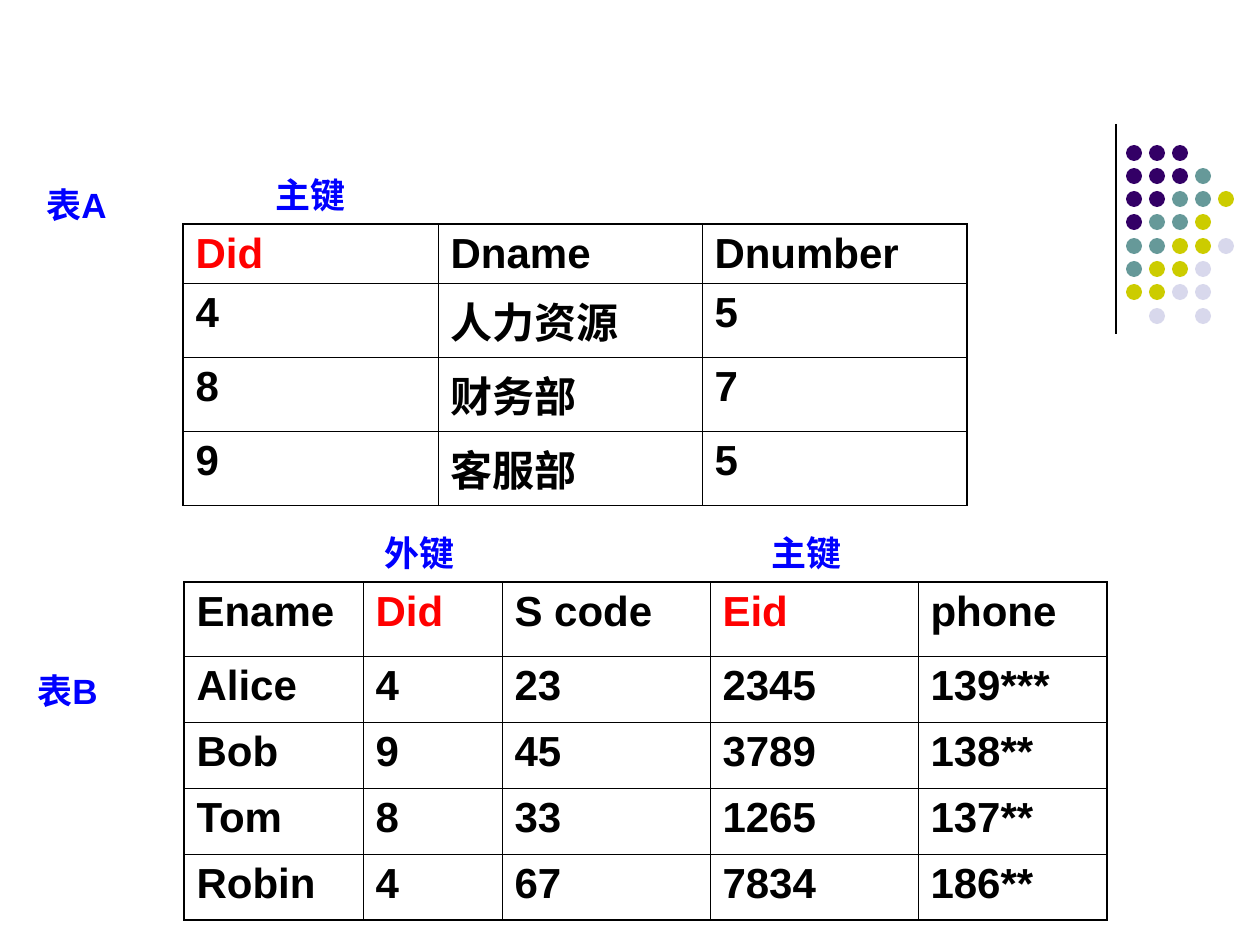
"""Build a slide that shows primary and foreign keys in two linked tables."""
from lxml import etree
from pptx import Presentation
from pptx.dml.color import RGBColor
from pptx.enum.shapes import MSO_CONNECTOR, MSO_SHAPE
from pptx.oxml.ns import qn
from pptx.util import Emu, Pt

STRAIGHT = MSO_CONNECTOR.STRAIGHT
OVAL = MSO_SHAPE.OVAL

BLACK = RGBColor(0x00, 0x00, 0x00)
RED = RGBColor(0xFF, 0x00, 0x00)
BLUE = RGBColor(0x00, 0x00, 0xFF)
PURPLE = RGBColor(0x33, 0x00, 0x66)
TEAL = RGBColor(0x66, 0x99, 0x99)
OLIVE = RGBColor(0xCC, 0xCC, 0x00)
LAVENDER = RGBColor(0xD8, 0xD8, 0xEC)

FONT = "Arial"
OUTER_BORDER = Pt(1.08)
INNER_BORDER = Pt(0.45)

DOT_COLORS = {"P": PURPLE, "T": TEAL, "O": OLIVE, "L": LAVENDER}
DOT_ROWS = ["PPP", "PPPT", "PPTTO", "PTTO", "TTOOL", "TOOL", "OOLL", ".L.L"]
DOT_SIZE = 16

DEPARTMENTS = [
    ["Did", "Dname", "Dnumber"],
    ["4", "人力资源", "5"],
    ["8", "财务部", "7"],
    ["9", "客服部", "5"],
]
EMPLOYEES = [
    ["Ename", "Did", "S code", "Eid", "phone"],
    ["Alice", "4", "23", "2345", "139***"],
    ["Bob", "9", "45", "3789", "138**"],
    ["Tom", "8", "33", "1265", "137**"],
    ["Robin", "4", "67", "7834", "186**"],
]
KEY_COLUMNS = {"Did", "Eid"}

LABELS = [
    ("表A", 34, 165, 100, 89),
    ("表B", 25, 651, 110, 66),
    ("主键", 263, 155, 100, 89),
    ("外键", 372, 513, 100, 89),
    ("主键", 759, 513, 100, 89),
]


def px(length):
    """Turn pixels at 126 to the inch into EMU."""
    return Emu(round(length * 914400 / 126))


def add_run(paragraph, text, size, color):
    """Add one bold run."""
    run = paragraph.add_run()
    run.text = text
    run.font.name = FONT
    run.font.size = Pt(size)
    run.font.bold = True
    run.font.color.rgb = color


def add_label(slide, text, left, top, width, height):
    """Add a blue caption for a table or a key column."""
    frame = slide.shapes.add_textbox(px(left), px(top), px(width), px(height)).text_frame
    frame.word_wrap = True
    paragraph = frame.paragraphs[0]
    paragraph.line_spacing = 1.3
    paragraph.space_before = Pt(5)
    add_run(paragraph, text, 20, BLUE)


def add_border(cell, side, width):
    """Draw one black border of a cell."""
    line = etree.SubElement(cell._tc.get_or_add_tcPr(), qn(f"a:ln{side}"), w=str(width))
    fill = etree.SubElement(line, qn("a:solidFill"))
    etree.SubElement(fill, qn("a:srgbClr"), val=str(BLACK))


def add_grid(slide, records, left, top, widths, heights):
    """Add a table with heavier outer borders and red key names."""
    table = slide.shapes.add_table(
        len(heights), len(widths), px(left), px(top), px(sum(widths)), px(sum(heights))
    ).table
    table.first_row = False
    table.horz_banding = False
    for column, width in zip(table.columns, widths):
        column.width = px(width)
    for row, height in zip(table.rows, heights):
        row.height = px(height)
    last_row, last_column = len(heights) - 1, len(widths) - 1
    for r, record in enumerate(records):
        for c, value in enumerate(record):
            cell = table.cell(r, c)
            edges = {"L": c == 0, "R": c == last_column, "T": r == 0, "B": r == last_row}
            for side, outer in edges.items():
                add_border(cell, side, OUTER_BORDER if outer else INNER_BORDER)
            cell.fill.background()
            paragraph = cell.text_frame.paragraphs[0]
            paragraph.space_before = Pt(6)
            add_run(paragraph, value, 24, RED if value in KEY_COLUMNS else BLACK)


def add_divider(slide, x, top, bottom):
    """Add the thin vertical line beside the dots."""
    divider = slide.shapes.add_connector(STRAIGHT, px(x), px(top), px(x), px(bottom))
    divider.line.color.rgb = BLACK
    divider.line.width = Pt(0.75)
    etree.SubElement(divider._element.spPr, qn("a:effectLst"))


def add_dots(slide, left, top):
    """Add the grid of coloured dots."""
    for r, row in enumerate(DOT_ROWS):
        for c, code in enumerate(row):
            if code in DOT_COLORS:
                dot = slide.shapes.add_shape(
                    OVAL, px(left + c * 23), px(top + r * 163 // 7), px(DOT_SIZE), px(DOT_SIZE)
                )
                dot.shadow.inherit = False
                dot.fill.solid()
                dot.fill.fore_color.rgb = DOT_COLORS[code]
                dot.line.fill.background()


def main():
    """Build and save the slide."""
    deck = Presentation()
    deck.slide_width, deck.slide_height = px(1260), px(945)
    slide = deck.slides.add_slide(deck.slide_layouts[6])
    add_divider(slide, 1116, 124, 334)
    add_dots(slide, 1126, 145)
    add_grid(slide, DEPARTMENTS, 183, 224, [255, 264, 265], [59] + [74] * 3)
    add_grid(slide, EMPLOYEES, 184, 582, [179, 139, 208, 208, 189], [74] + [66] * 4)
    for label in LABELS:
        add_label(slide, *label)
    deck.save("out.pptx")


if __name__ == "__main__":
    main()
